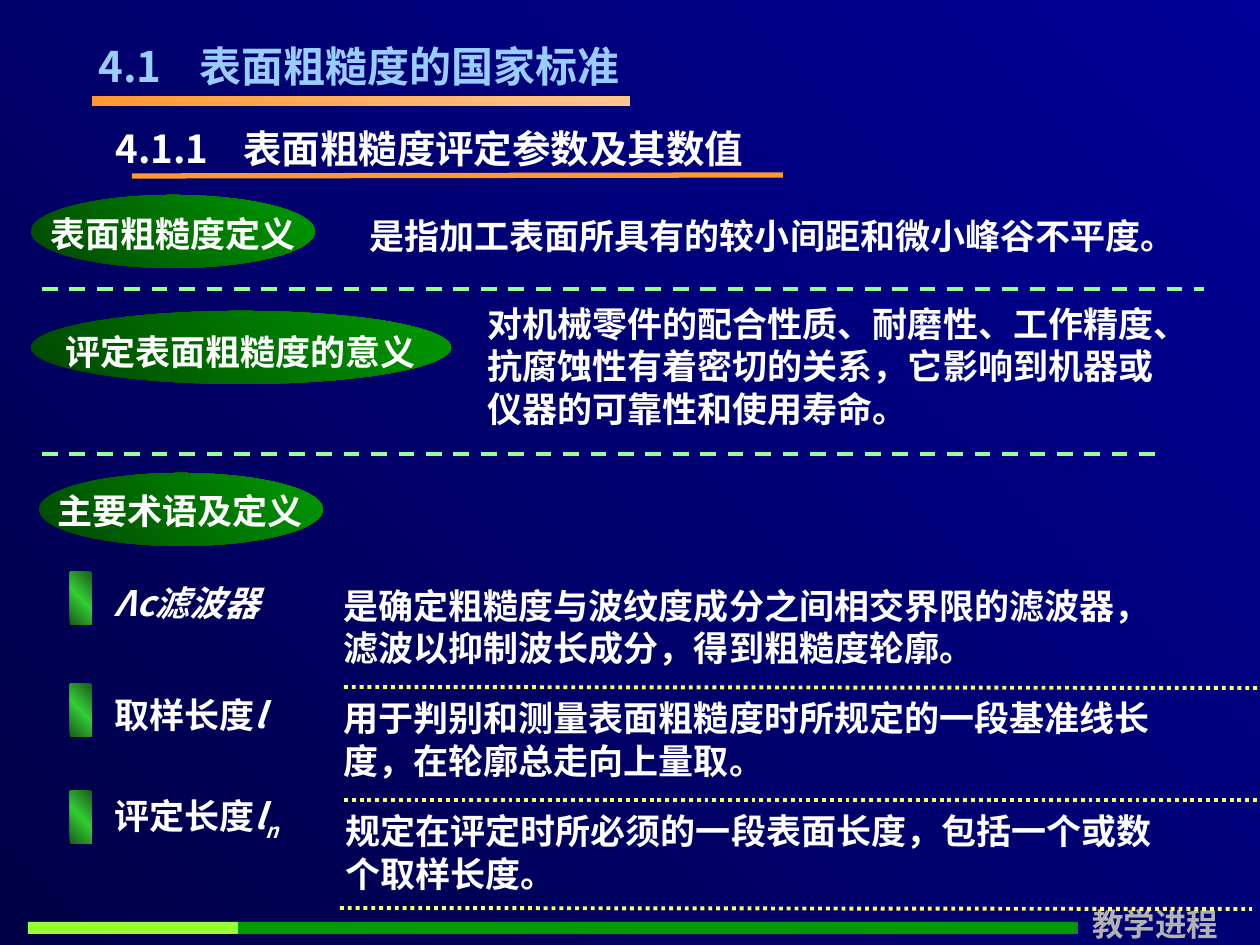
from copy import deepcopy

from lxml.etree import SubElement
from pptx import Presentation
from pptx.dml.color import RGBColor as RGB
from pptx.enum.dml import MSO_LINE_DASH_STYLE as DASH
from pptx.enum.shapes import MSO_CONNECTOR as CONNECTOR, MSO_SHAPE as SHAPE
from pptx.oxml.ns import qn
from pptx.util import Pt

PX = 914400 / 126
SANS, SERIF = "Noto Sans CJK SC", "Times New Roman"
COLORS = {
    "night": "000047", "navy": "000099", "sky": "99CCFF", "white": "FFFFFF",
    "orange": "FF9933", "peach": "FFC790", "forest": "004700", "green": "009900",
    "moss": "185E18", "leaf": "33CC33", "lime": "99FF33", "mint": "99FF99",
    "yellow": "FFFF66", "gray": "B2B2B2",
}
color = {name: RGB.from_string(value) for name, value in COLORS.items()}


def shade(fill, names, angle):
    """Fill with evenly spaced gradient stops."""
    fill.gradient()
    fill.gradient_angle = angle
    stop_list = fill._fill._gradFill.find(qn("a:gsLst"))
    while len(stop_list) < len(names):
        stop_list.append(deepcopy(stop_list[-1]))
    for i, (stop, name) in enumerate(zip(fill.gradient_stops, names)):
        stop.color.rgb = color[name]
        stop.position = i / (len(names) - 1)


def write(box, runs, size=20, font=SANS, ink="white", tab=None):
    """Add a one-paragraph text box; each run is (text, format)."""
    frame = slide.shapes.add_textbox(*[round(v * PX) for v in box]).text_frame
    frame.word_wrap = True
    frame.margin_top = round(9 * PX)
    line = frame.paragraphs[0]
    line.line_spacing = Pt(size * 1.2)
    if tab:
        tabs = SubElement(line._p.get_or_add_pPr(), qn("a:tabLst"))
        SubElement(tabs, qn("a:tab"), pos=str(round(tab * PX)), algn="l")
    for text, extra in runs:
        run = line.add_run()
        run.text = text
        style = {"name": font, "size": Pt(size), "bold": True, **extra}
        baseline = style.pop("baseline", None)
        for key, value in style.items():
            setattr(run.font, key, value)
        run.font.color.rgb = color[ink]
        props = run._r.get_or_add_rPr()
        props.find(qn("a:latin")).addnext(props.makeelement(qn("a:ea"), {"typeface": SANS}))
        if baseline:
            props.set("baseline", baseline)


deck = Presentation()
deck.slide_width, deck.slide_height = round(1260 * PX), round(945 * PX)
slide = deck.slides.add_slide(deck.slide_layouts[6])
shade(slide.background.fill, ["night", "navy"], 45)

# Headings
write((86, 32, 560, 63), [("4.1\t表面粗糙度的国家标准", {})], 24, ink="sky", tab=101)
write((103, 116, 737, 59), [("4.1.1\t表面粗糙度评定参数及其数值", {})], 22, tab=128)

# Gradient shapes: heading bar, topic ovals, term markers
topic_shade, marker_shade = ["forest", "green"], ["moss", "leaf", "moss"]
gradient_shapes = [
    (SHAPE.RECTANGLE, (92, 96, 538, 10), ["orange", "peach"], 0),
    (SHAPE.OVAL, (31, 195, 284, 73), topic_shade, 45),
    (SHAPE.OVAL, (31, 311, 420, 73), topic_shade, 45),
    (SHAPE.OVAL, (39, 473, 284, 73), topic_shade, 45),
] + [(SHAPE.RECTANGLE, (70, top, 22, 53), marker_shade, 45) for top in (572, 684, 791)]
for kind, box, names, angle in gradient_shapes:
    shape = slide.shapes.add_shape(kind, *[round(v * PX) for v in box])
    shape.shadow.inherit = False
    shape.line.fill.background()
    shade(shape.fill, names, angle)

# Footer progress bar and caption
SEGMENTS, DONE, STEP = 25, 5, 42
for i in range(SEGMENTS):
    segment = slide.shapes.add_shape(
        SHAPE.RECTANGLE, *[round(v * PX) for v in (28 + i * STEP, 922, STEP, 12)])
    segment.shadow.inherit = False
    segment.line.fill.background()
    segment.fill.solid()
    segment.fill.fore_color.rgb = color["lime" if i < DONE else "green"]
write((1080, 896, 179, 50), [("教学进程", {})], 18, ink="gray")

# Topics
for box, topic in [
    ((38, 204, 299, 55), "表面粗糙度定义"),
    ((53, 321, 403, 55), "评定表面粗糙度的意义"),
    ((45, 481, 299, 55), "主要术语及定义"),
]:
    write(box, [(topic, {})], font=SERIF)

# Topic explanations
write((357, 205, 858, 55), [("是指加工表面所具有的较小间距和微小峰谷不平度。", {})])
write((475, 294, 707, 139),
      [("对机械零件的配合性质、耐磨性、工作精度、抗腐蚀性有着密切的关系，它影响到机器或仪器的可靠性和使用寿命。", {})])

# Terms and their definitions
italic = {"italic": True}
terms = [
    (572, [("Λc滤波器", italic)], 331, 576,
     "是确定粗糙度与波纹度成分之间相交界限的滤波器，滤波以抑制波长成分，得到粗糙度轮廓。"),
    (684, [("取样长度", {}), ("l", italic)], 331, 688,
     "用于判别和测量表面粗糙度时所规定的一段基准线长度，在轮廓总走向上量取。"),
    (791, [("评定长度", {}), ("l", italic), ("n", {**italic, "baseline": "-25000"})], 333, 801,
     "规定在评定时所必须的一段表面长度，包括一个或数个取样长度。"),
]
for term_top, term, left, top, definition in terms:
    write((102, term_top, 210, 55), term)
    write((left, top, 861, 97), [(definition, {})], font=SERIF)

# Rules
for ends, ink, width, dash in [
    ((132, 176, 783, 175), "orange", 3, None),
    ((42, 289, 1204, 289), "mint", 2.25, DASH.DASH),
    ((42, 454, 1156, 454), "mint", 2.25, DASH.DASH),
    ((344, 687, 1260, 688), "yellow", 2.25, DASH.ROUND_DOT),
    ((344, 800, 1260, 800), "yellow", 2.25, DASH.ROUND_DOT),
    ((340, 908, 1252, 909), "yellow", 2.25, DASH.ROUND_DOT),
]:
    rule = slide.shapes.add_connector(CONNECTOR.STRAIGHT, *[round(v * PX) for v in ends])
    SubElement(rule._element.spPr, qn("a:effectLst"))
    rule.line.color.rgb = color[ink]
    rule.line.width = Pt(width)
    if dash:
        rule.line.dash_style = dash

deck.save("out.pptx")
